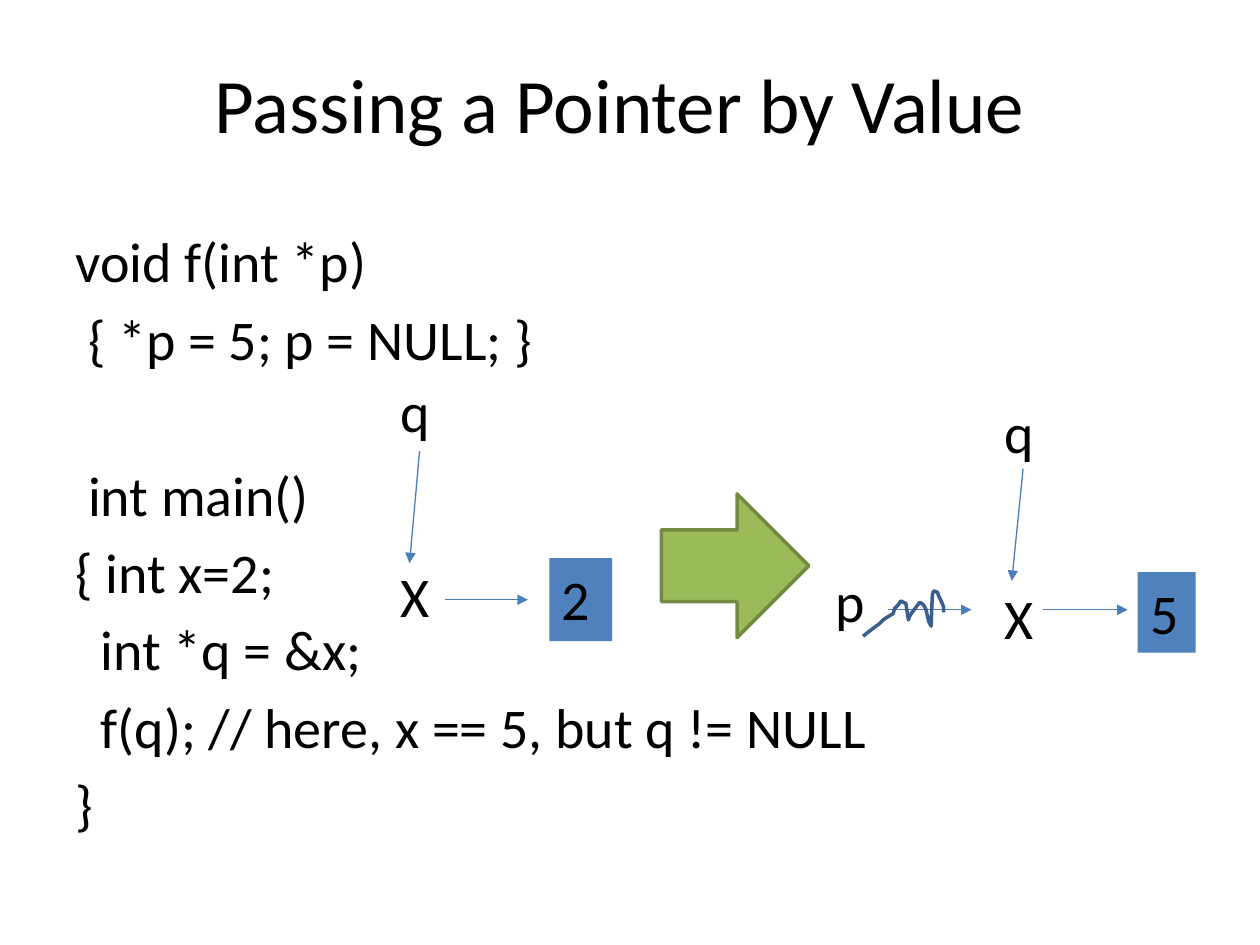
"""Build a slide on passing a pointer by value, with before and after diagrams."""
from lxml.etree import SubElement
from pptx import Presentation
from pptx.dml.color import RGBColor
from pptx.enum.shapes import MSO_CONNECTOR, MSO_SHAPE
from pptx.enum.text import MSO_ANCHOR, PP_ALIGN
from pptx.oxml.ns import qn
from pptx.util import Inches, Pt

THEME = {
    "font": "Calibri", "title": 44, "body": 32, "gap": 5.8, "blank": 50.7,
    "text": "000000", "box": "4F81BD", "line": "4B7EBC",
    "arrow": "9BBB59", "arrow_edge": "738A42", "scribble": "3A5F8C",
}
TITLE = "Passing a Pointer by Value"
CODE_BLOCKS = [
    ["void f(int *p)", " { *p = 5; p = NULL; }"],
    [" int main()", "{ int x=2;", "  int *q = &x;",
     "  f(q); // here, x == 5, but q != NULL", "}"],
]
LABELS = [("X", 3.08, 4.41), ("q", 3.08, 2.94), ("X", 7.87, 4.58),
          ("q", 7.87, 3.11), ("p", 6.53, 4.45)]
VALUES = [("2", (4.36, 4.43, 0.5, 0.66)), ("5", (9.03, 4.54, 0.46, 0.64))]
POINTERS = [
    (3.33, 3.58, 3.25, 4.47), (3.53, 4.76, 4.19, 4.76),
    (8.12, 3.72, 8.03, 4.61), (8.28, 4.84, 8.95, 4.84),
    (7.05, 4.84, 7.71, 4.84),
]
SCRIBBLE = [
    (6.85, 5.05), (6.9, 5.01), (6.98, 4.95), (7.01, 4.92), (7.04, 4.9),
    (7.09, 4.87), (7.1, 4.83), (7.13, 4.8), (7.15, 4.77), (7.19, 4.79),
    (7.21, 4.92), (7.22, 4.89), (7.24, 4.86), (7.3, 4.78), (7.33, 4.8),
    (7.35, 4.84), (7.37, 4.93), (7.39, 4.97), (7.4, 4.72), (7.41, 4.69),
    (7.44, 4.7), (7.45, 4.73), (7.47, 4.77), (7.49, 4.82), (7.49, 4.86),
]


def color(name):
    return RGBColor.from_string(THEME[name])


def write(sp, lines, size="body", align=PP_ALIGN.LEFT, anchor=MSO_ANCHOR.TOP):
    tf = sp.text_frame
    tf.word_wrap = True
    tf.vertical_anchor = anchor
    for i, (text, before) in enumerate(lines):
        p = tf.add_paragraph() if i else tf.paragraphs[0]
        p.text = text
        p.alignment = align
        p.space_before = Pt(before)
        p.font.name = THEME["font"]
        p.font.size = Pt(THEME[size])
        p.font.color.rgb = color("text")


def add_text(s, box, lines, **style):
    write(s.shapes.add_textbox(*map(Inches, box)), lines, **style)


def add_block(s, kind, box, fill):
    sp = s.shapes.add_shape(kind, *map(Inches, box))
    sp.shadow.inherit = False
    sp.fill.solid()
    sp.fill.fore_color.rgb = color(fill)
    sp.line.fill.background()
    return sp


def outline(sp, name, width):
    sp.line.color.rgb = color(name)
    sp.line.width = Pt(width)


def add_pointer(s, ends):
    cx = s.shapes.add_connector(MSO_CONNECTOR.STRAIGHT, *map(Inches, ends))
    outline(cx, "line", 0.75)
    SubElement(cx.line._get_or_add_ln(), qn("a:tailEnd"), type="triangle")
    SubElement(cx._element.spPr, qn("a:effectLst"))


def code_lines():
    lines = []
    for b, block in enumerate(CODE_BLOCKS):
        for i, text in enumerate(block):
            first = THEME["blank"] if b else 0
            lines.append((text, THEME["gap"] if i else first))
    return lines


def main():
    prs = Presentation()
    prs.slide_width, prs.slide_height = Inches(10), Inches(7.5)
    s = prs.slides.add_slide(prs.slide_layouts[6])

    add_text(s, (0.42, 0.19, 9, 1.25), [(TITLE, 0)], size="title",
             align=PP_ALIGN.CENTER, anchor=MSO_ANCHOR.MIDDLE)
    add_text(s, (0.5, 1.75, 9, 4.95), code_lines())
    for text, x, y in LABELS:
        add_text(s, (x, y, 0.75, 0.64), [(text, 0)])
    for text, box in VALUES:
        write(add_block(s, MSO_SHAPE.RECTANGLE, box, "box"), [(text, 0)])
    for ends in POINTERS:
        add_pointer(s, ends)

    arrow = add_block(s, MSO_SHAPE.RIGHT_ARROW, (5.25, 3.92, 1.17, 1.14), "arrow")
    outline(arrow, "arrow_edge", 2)

    points = [(Inches(x), Inches(y)) for x, y in SCRIBBLE]
    fb = s.shapes.build_freeform(*points[0])
    fb.add_line_segments(points[1:], close=False)
    sp = fb.convert_to_shape()
    sp.shadow.inherit = False
    sp.fill.background()
    outline(sp, "scribble", 2)

    prs.save("out.pptx")


if __name__ == "__main__":
    main()
